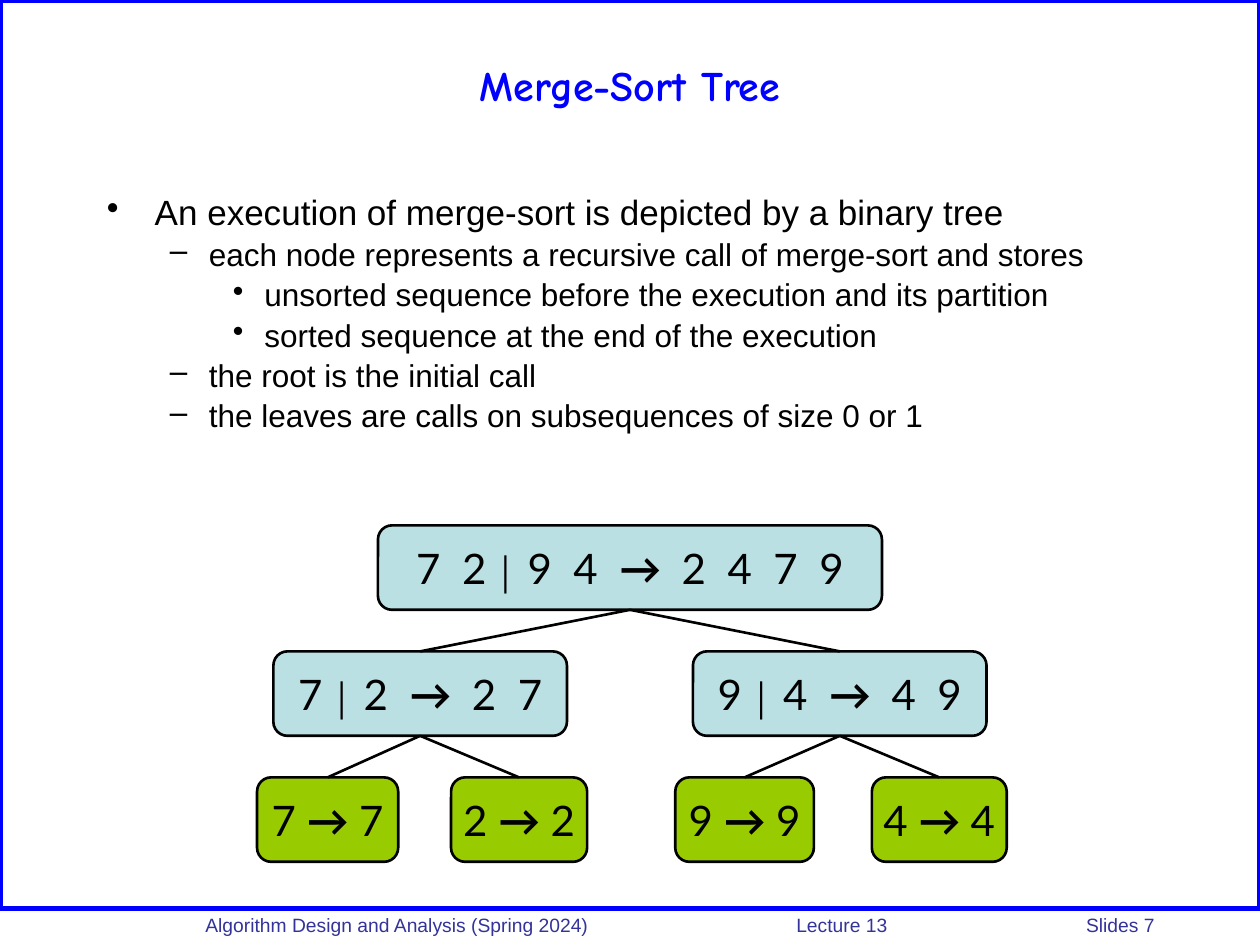
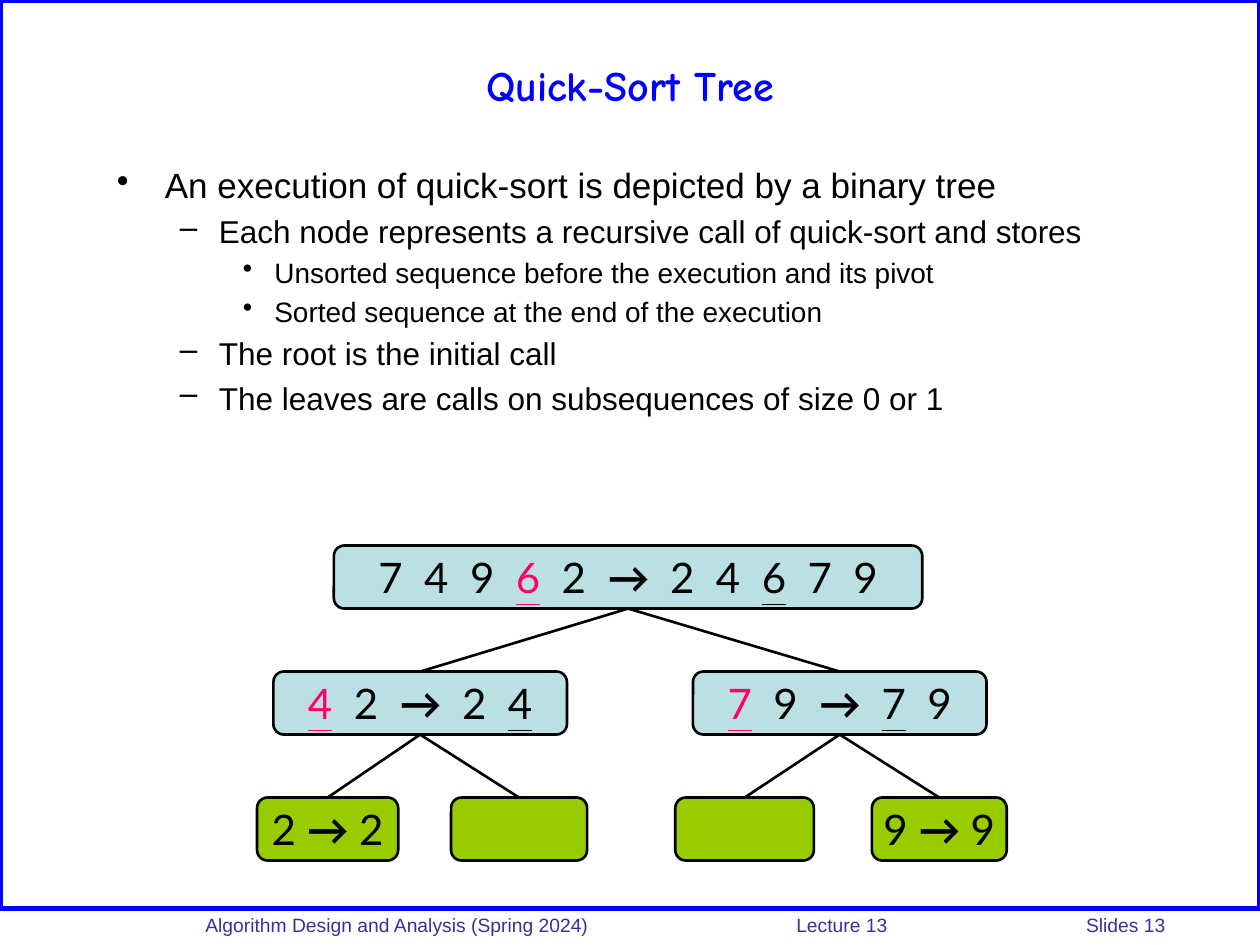
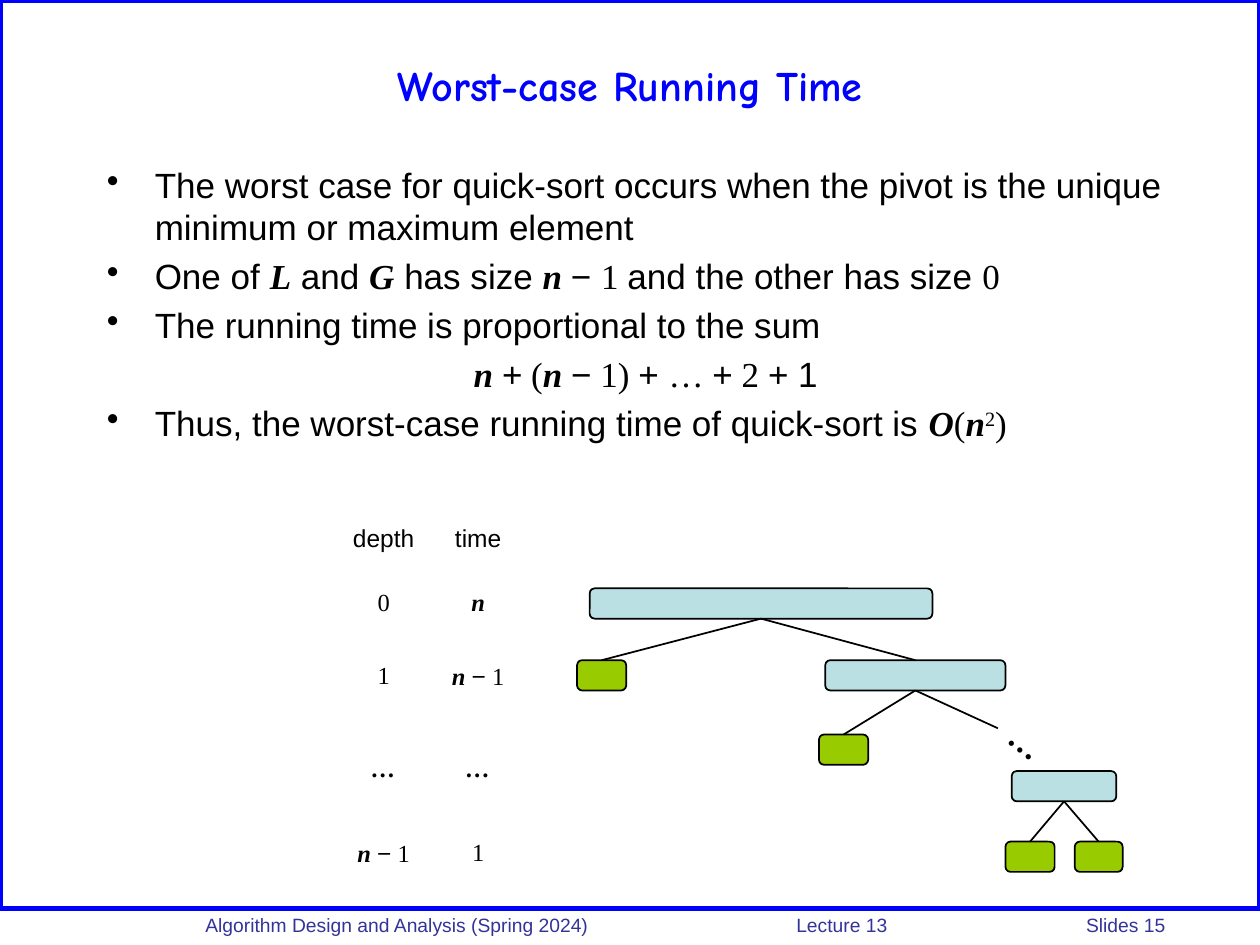
from lxml.etree import SubElement
from pptx import Presentation
from pptx.dml.color import RGBColor
from pptx.enum.shapes import MSO_CONNECTOR, MSO_SHAPE
from pptx.enum.text import MSO_ANCHOR, PP_ALIGN
from pptx.oxml.ns import qn
from pptx.util import Inches, Pt

BLUE, NAVY, BLACK = "0000FF", "333399", "000000"
AQUA, LIME, PINK = "BBE0E3", "99CC00", "FF0066"

# Run styles; a plain string takes the base format of its box
STYLES = {
    "arrow": {"bold": True},
    "bar": {"name": "Arial", "size": 18, "bold": True},
    "pivot": {"color": PINK, "underline": True},
    "under": {"underline": True},
    "num": {"name": "Times New Roman"},
    "var": {"name": "Times New Roman", "bold": True, "italic": True},
    "sup": {"name": "Times New Roman", "raise": 30},
}
TITLE = {"name": "Comic Neue", "size": 24, "color": BLUE, "bold": True}
FOOT = {"name": "Arial", "size": 11, "color": NAVY}
NODE = {"name": "Lato", "size": 24, "color": BLACK}
CELL = {"name": "Arial", "size": 14, "color": BLACK}

# Bullet, left margin and indent of each list level; level None is a formula
LEVELS = {0: ("•", 0.38, -0.38), 1: ("–", 0.81, -0.31),
          2: ("•", 1.25, -0.25), None: ("", 0.38, -0.38)}

BAR, ARROW, TIGHT = ("│", "bar"), ("→  ", "arrow"), ("→ ", "arrow")
N, MINUS = ("n ", "var"), "−"

MERGE = {
    "title": "Merge-Sort Tree", "page": 7,
    "box": (0.75, 1.5, 8.83, 2.41), "sizes": (20, 18, 18), "spacing": 0.9,
    "list": [
        (0, ["An execution of merge-sort is depicted by a binary tree"]),
        (1, ["each node represents a recursive call of merge-sort and stores"]),
        (2, ["unsorted sequence before the execution and its partition"]),
        (2, ["sorted sequence at the end of the execution"]),
        (1, ["the root is the initial call"]),
        (1, ["the leaves are calls on subsequences of size 0 or 1"]),
    ],
    "root": (3, 4), "top": 4.17, "height": 0.67,
    "nodes": [
        ["7  2 ", BAR, " 9  4  ", ARROW, "2  4  7  9"],
        ["7 ", BAR, " 2  ", ARROW, "2  7"],
        ["9 ", BAR, " 4  ", ARROW, "4  9"],
        ["7 ", TIGHT, "7"], ["2 ", TIGHT, "2"],
        ["9 ", TIGHT, "9"], ["4 ", TIGHT, "4"],
    ],
}
QUICK = {
    "title": "Quick-Sort Tree", "page": 13,
    "box": (0.83, 1.25, 8.67, 3), "sizes": (20, 18, 16), "spacing": 1.0,
    "list": [
        (0, ["An execution of quick-sort is depicted by a binary tree"]),
        (1, ["Each node represents a recursive call of quick-sort and stores"]),
        (2, ["Unsorted sequence before the execution and its pivot"]),
        (2, ["Sorted sequence at the end of the execution"]),
        (1, ["The root is the initial call"]),
        (1, ["The leaves are calls on subsequences of size 0 or 1"]),
    ],
    "root": (2.65, 4.67), "top": 4.33, "height": 0.5,
    "nodes": [
        ["7  4  9  ", ("6", "pivot"), "  2  ", ARROW, "2  4  ",
         ("6", "under"), "  7  9"],
        [("4", "pivot"), "  2  ", ARROW, "2  ", ("4", "under")],
        [("7", "pivot"), "  9  ", ARROW, ("7", "under"), "  9"],
        ["2 ", TIGHT, "2"], [], [], ["9 ", TIGHT, "9"],
    ],
}
WORST = {
    "title": "Worst-case Running Time", "page": 15,
    "box": (0.75, 1.25, 8.75, 2.5), "sizes": (20, 18, 16), "spacing": 1.0,
    "list": [
        (0, ["The worst case for quick-sort occurs when the pivot is the "
             "unique minimum or maximum element"]),
        (0, ["One of ", ("L", "var"), " and ", ("G", "var"), " has size ", N,
             "− ", ("1 ", "num"), "and the other has size ", ("0", "num")]),
        (0, ["The running time is proportional to the sum"]),
        (None, [N, "+", (" (", "num"), N, MINUS, (" 1) ", "num"), "+ ",
                ("… ", "num"), "+", (" 2 ", "num"), "+ 1"]),
        (0, ["Thus, the worst-case running time of quick-sort is ",
             ("O", "var"), ("(", "num"), ("n", "var"), ("2", "sup"),
             (")", "num")]),
    ],
}
LESS = [N, MINUS, (" 1", "num")]
DOTS = [("…", "var")]
COSTS = [
    (0.34, ["depth"], ["time"]),
    (0.56, [("0", "num")], [("n", "var")]),
    (0.6, [("1", "num")], LESS),
    (0.87, DOTS, DOTS),
    (0.47, LESS, [("1", "num")]),
]
# Left, top, width, colour and parent of each node in the worst-case tree
CHAIN = [
    (4.68, 4.67, 2.72, AQUA, None),
    (4.58, 5.24, 0.39, LIME, 0),
    (6.55, 5.24, 1.43, AQUA, 0),
    (6.5, 5.83, 0.39, LIME, 2),
    (8.03, 6.12, 0.83, AQUA, None),
    (7.98, 6.68, 0.39, LIME, 4),
    (8.53, 6.68, 0.38, LIME, 4),
]
# Left and width of the nodes under the root
SLOTS = [(2.17, 2.33), (5.5, 2.33),
         (2.04, 1.12), (3.58, 1.08), (5.36, 1.1), (6.92, 1.07)]


def rgb(code):
    return RGBColor.from_string(code)


def write(para, runs, base):
    for item in runs:
        text, style = (item, None) if isinstance(item, str) else item
        run = para.add_run()
        run.text = text
        for key, value in {**base, **STYLES.get(style, {})}.items():
            if key == "color":
                run.font.color.rgb = rgb(value)
            elif key == "raise":
                run.font._element.set("baseline", str(value * 1000))
            else:
                setattr(run.font, key, Pt(value) if key == "size" else value)


def add_box(slide, place, wrap=True):
    box = slide.shapes.add_textbox(*map(Inches, place))
    box.text_frame.word_wrap = wrap
    return box


def add_block(slide, kind, place, fill, color, weight):
    shape = slide.shapes.add_shape(kind, *map(Inches, place))
    shape.shadow.inherit = False
    if fill:
        shape.fill.solid()
        shape.fill.fore_color.rgb = rgb(fill)
    else:
        shape.fill.background()
    shape.line.color.rgb = rgb(color)
    shape.line.width = Pt(weight)
    return shape


def add_node(slide, place, fill, weight, runs=()):
    node = add_block(slide, MSO_SHAPE.ROUNDED_RECTANGLE, place, fill,
                     BLACK, weight)
    if runs:
        frame = node.text_frame
        frame.word_wrap = False
        frame.vertical_anchor = MSO_ANCHOR.MIDDLE
        frame.paragraphs[0].alignment = PP_ALIGN.CENTER
        write(frame.paragraphs[0], runs, NODE)
    return node


def add_edge(slide, parent, weight, child=None, end=(0, 0)):
    """Line from the parent's bottom to the child's top, or to a free end."""
    edge = slide.shapes.add_connector(MSO_CONNECTOR.STRAIGHT, 0, 0,
                                      *map(Inches, end))
    edge.begin_connect(parent, 2)
    if child is not None:
        edge.end_connect(child, 0)
    edge.line.color.rgb = rgb(BLACK)
    edge.line.width = Pt(weight)
    SubElement(edge._element.spPr, qn("a:effectLst"))


def add_list(slide, data):
    frame = add_box(slide, data["box"]).text_frame
    for i, (level, runs) in enumerate(data["list"]):
        para = frame.add_paragraph() if i else frame.paragraphs[0]
        mark, left, indent = LEVELS[level]
        props = para._p.get_or_add_pPr()
        props.set("marL", str(Inches(left)))
        props.set("indent", str(Inches(indent)))
        if mark:
            SubElement(props, qn("a:buChar")).set("char", mark)
        else:
            para.alignment = PP_ALIGN.CENTER
        para.level = level or 0
        size = data["sizes"][level or 0]
        para.line_spacing = data["spacing"]
        if i:
            para.space_before = Pt(size * 0.2)
        write(para, runs, {"name": "Arial", "size": size, "color": BLACK})


def add_base(deck, data):
    """Slide with the frame, footer, title and bullet list."""
    slide = deck.slides.add_slide(deck.slide_layouts[6])
    add_block(slide, MSO_SHAPE.RECTANGLE, (0, 0, 10, 7.21), None, BLUE, 3)

    foot = add_box(slide, (1.33, 7.2, 8.67, 0.26)).text_frame
    foot.margin_left = Inches(0.3)
    para = foot.paragraphs[0]
    tabs = SubElement(para._p.get_or_add_pPr(), qn("a:tabLst"))
    for stop in (4.69, 6.99):
        tab = SubElement(tabs, qn("a:tab"))
        tab.set("pos", str(Inches(stop)))
        tab.set("algn", "l")
    write(para, ["Algorithm Design and Analysis (Spring 2024)\tLecture 13"
                 f"\tSlides {data['page']}"], FOOT)

    head = add_box(slide, (0.5, 0.17, 9, 1)).text_frame
    head.vertical_anchor = MSO_ANCHOR.MIDDLE
    head.paragraphs[0].alignment = PP_ALIGN.CENTER
    write(head.paragraphs[0], [data["title"]], TITLE)
    add_list(slide, data)
    return slide


def add_tree(slide, data):
    """Full binary tree of three levels, one inch apart."""
    nodes = []
    for i, runs in enumerate(data["nodes"]):
        left, width = ([data["root"]] + SLOTS)[i]
        depth = (i + 1).bit_length() - 1
        place = (left, data["top"] + depth, width, data["height"])
        nodes.append(add_node(slide, place, LIME if depth == 2 else AQUA,
                              1.5, runs))
    for i in range(1, len(nodes)):
        add_edge(slide, nodes[(i - 1) // 2], 1.5, nodes[i])


def add_chain(slide):
    nodes = []
    for left, top, width, fill, parent in CHAIN:
        nodes.append(add_node(slide, (left, top, width, 0.24), fill, 1))
        if parent is not None:
            add_edge(slide, nodes[parent], 1, nodes[-1])
    add_edge(slide, nodes[2], 1, end=(7.92, 5.78))
    dots = add_box(slide, (7.93, 5.62, 0.47, 0.5), wrap=False)
    dots.rotation = 38.4
    para = dots.text_frame.paragraphs[0]
    para.alignment = PP_ALIGN.CENTER
    write(para, ["…"], NODE)


def add_costs(slide):
    table = slide.shapes.add_table(
        len(COSTS), 2, *map(Inches, (2.67, 4.17, 1.5, 2.84))).table
    table.first_row = table.horz_banding = False
    for r, (height, *cells) in enumerate(COSTS):
        table.rows[r].height = Inches(height)
        for c, runs in enumerate(cells):
            cell = table.cell(r, c)
            cell.fill.background()
            cell.vertical_anchor = MSO_ANCHOR.MIDDLE if r else MSO_ANCHOR.TOP
            for side in ("left", "right", "top", "bottom"):
                setattr(cell, f"margin_{side}", 0)
            para = cell.text_frame.paragraphs[0]
            para.alignment = PP_ALIGN.CENTER
            write(para, runs, CELL)


def main():
    deck = Presentation()
    deck.slide_width, deck.slide_height = Inches(10), Inches(7.5)
    for data in (MERGE, QUICK):
        add_tree(add_base(deck, data), data)
    worst = add_base(deck, WORST)
    add_chain(worst)
    add_costs(worst)
    deck.save("out.pptx")


if __name__ == "__main__":
    main()
